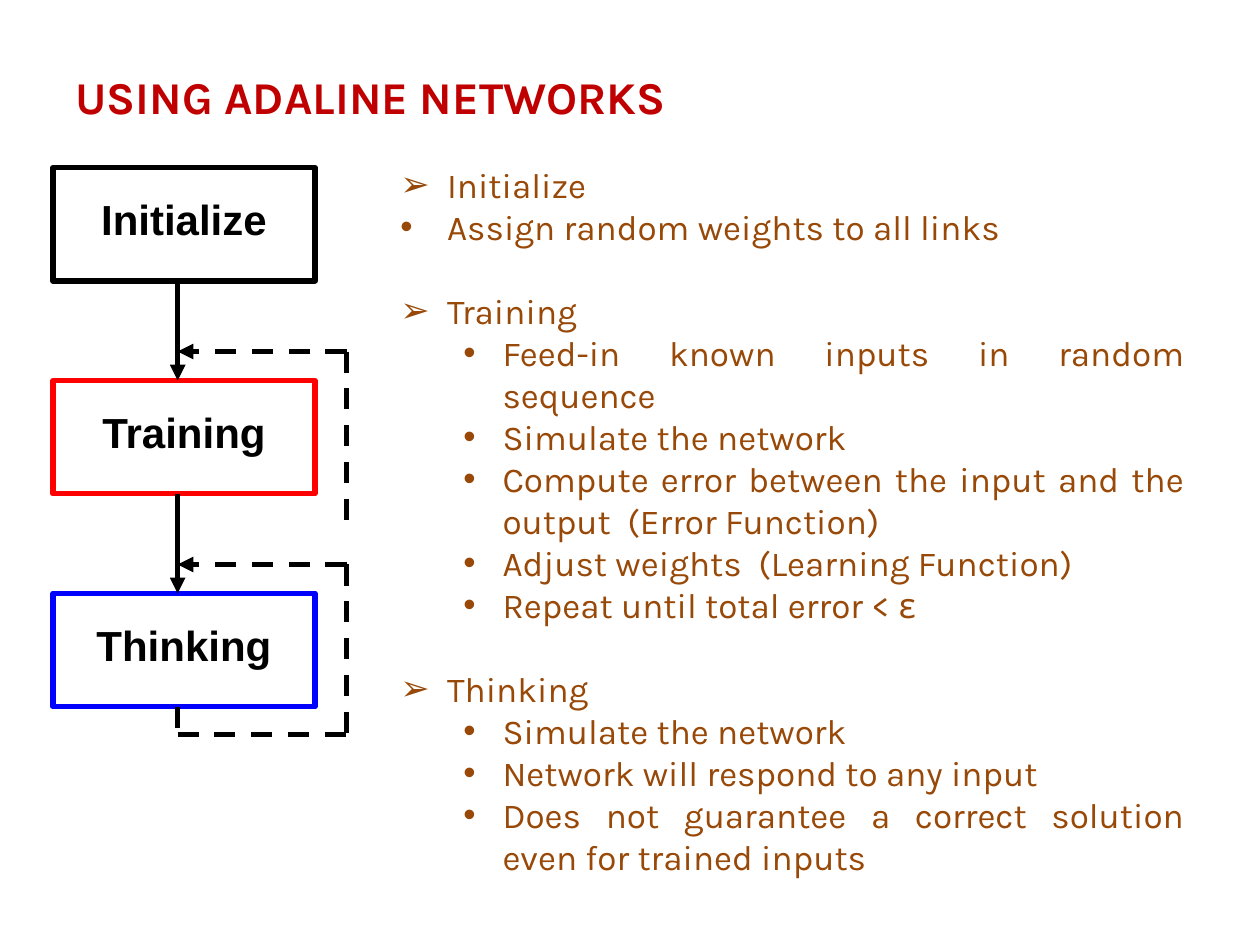
from lxml import etree
from pptx import Presentation
from pptx import util as u
from pptx.dml.color import RGBColor
from pptx.enum import dml, shapes, text
from pptx.oxml.ns import qn

BLACK, BROWN, CRIMSON = "000000", "984807", "C00000"

# Flowchart geometry in inches
BOX_LEFT, BOX_TOP, BOX_WIDTH, BOX_HEIGHT = 0.42, 1.33, 2.08, 0.9
BOX_STEP = 1.69
FLOW_X, LOOP_X = 1.41, 2.75
STEPS = [("Initialize", BLACK), ("Training", "FF0000"), ("Thinking", "0000FF")]

# Outline level -> bullet, left margin and hanging indent in inches
LEVELS = {
    "heading": ("➢", 0.37, -0.37, 0),
    "note": ("•", 0.37, -0.37, 0),
    "detail": ("•", 0.81, -0.31, 1),
}
OUTLINE = [
    ("heading", "Initialize"),
    ("note", "Assign random weights to all links"),
    ("heading", "Training"),
    ("detail", "Feed-in known inputs in random sequence"),
    ("detail", "Simulate the network"),
    ("detail", "Compute error between the input and the output  (Error Function)"),
    ("detail", "Adjust weights  (Learning Function)"),
    ("detail", "Repeat until total error < ε"),
    ("heading", "Thinking"),
    ("detail", "Simulate the network"),
    ("detail", "Network will respond to any input"),
    ("detail", "Does not guarantee a correct solution even for trained inputs"),
]


def color(value):
    return RGBColor.from_string(value)


def add_run(paragraph, words, font_color, **formats):
    run = paragraph.add_run()
    run.text = words
    run.font.color.rgb = color(font_color)
    for name, value in formats.items():
        setattr(run.font, name, value)


def add_text_box(slide, left, top, width, height):
    box = slide.shapes.add_textbox(*map(u.Inches, (left, top, width, height)))
    box.text_frame.word_wrap = True
    return box.text_frame


def set_bullet(paragraph, character, left, indent):
    properties = paragraph._p.get_or_add_pPr()
    properties.set("marL", str(u.Inches(left)))
    properties.set("indent", str(u.Inches(indent)))
    bullet_color = etree.SubElement(properties, qn("a:buClr"))
    etree.SubElement(bullet_color, qn("a:srgbClr"), val=BROWN)
    etree.SubElement(properties, qn("a:buFont"), typeface="Arial")
    etree.SubElement(properties, qn("a:buChar"), char=character)


def add_outline(slide):
    frame = add_text_box(slide, 3.08, 1.25, 6.42, 5.33)
    for index, (kind, words) in enumerate(OUTLINE):
        paragraph = frame.add_paragraph() if index else frame.paragraphs[0]
        character, left, indent, level = LEVELS[kind]
        set_bullet(paragraph, character, left, indent)
        paragraph.level = level
        paragraph.alignment = text.PP_ALIGN.JUSTIFY
        if index and kind == "heading":
            paragraph.space_before = u.Pt(24)
        add_run(paragraph, words, BROWN, name="Karla", size=u.Pt(20))


def add_step(slide, top, label, line_color):
    shape = slide.shapes.add_shape(
        shapes.MSO_SHAPE.RECTANGLE,
        *map(u.Inches, (BOX_LEFT, top, BOX_WIDTH, BOX_HEIGHT)))
    shape.shadow.inherit = False
    shape.fill.background()
    shape.line.color.rgb = color(line_color)
    shape.line.width = u.Pt(3)
    frame = shape.text_frame
    frame.vertical_anchor = text.MSO_ANCHOR.TOP
    frame.margin_top = u.Inches(0.21)
    paragraph = frame.paragraphs[0]
    paragraph.alignment = text.PP_ALIGN.CENTER
    add_run(paragraph, label, BLACK, name="Arial", size=u.Pt(24), bold=True)


def add_line(slide, start, end, dashed=False, arrow=False):
    connector = slide.shapes.add_connector(
        shapes.MSO_CONNECTOR.STRAIGHT, *map(u.Inches, start + end))
    connector.line.color.rgb = color(BLACK)
    connector.line.width = u.Pt(3)
    if dashed:
        connector.line.dash_style = dml.MSO_LINE.DASH
    if arrow:
        etree.SubElement(connector.line._get_or_add_ln(), qn("a:tailEnd"),
                         type="triangle")
    etree.SubElement(connector._element.spPr, qn("a:effectLst"))


def add_flowchart(slide):
    tops = [BOX_TOP + BOX_STEP * index for index in range(len(STEPS))]
    for top, (label, line_color) in zip(tops, STEPS):
        add_step(slide, top, label, line_color)

    # Downward arrows, each met by a dashed feedback loop
    for top in tops[1:]:
        loop_top = top - 0.23
        add_line(slide, (FLOW_X, top - BOX_STEP + BOX_HEIGHT), (FLOW_X, top),
                 arrow=True)
        add_line(slide, (LOOP_X, loop_top), (FLOW_X, loop_top),
                 dashed=True, arrow=True)
        add_line(slide, (LOOP_X, loop_top), (LOOP_X, loop_top + 1.35),
                 dashed=True)

    # Return path below the last step
    bottom = tops[-1] + BOX_HEIGHT
    add_line(slide, (FLOW_X, bottom), (FLOW_X, 5.83), dashed=True)
    add_line(slide, (FLOW_X, 5.83), (LOOP_X, 5.83), dashed=True)


def main():
    presentation = Presentation()
    presentation.slide_width = u.Inches(10)
    presentation.slide_height = u.Inches(7.5)
    slide = presentation.slides.add_slide(presentation.slide_layouts[6])

    add_outline(slide)
    title = add_text_box(slide, 0.5, 0.5, 7.15, 0.54)
    add_run(title.paragraphs[0], "USING ADALINE NETWORKS", CRIMSON,
            name="Karla", size=u.Pt(26), bold=True)
    add_flowchart(slide)

    presentation.save("out.pptx")


if __name__ == "__main__":
    main()
